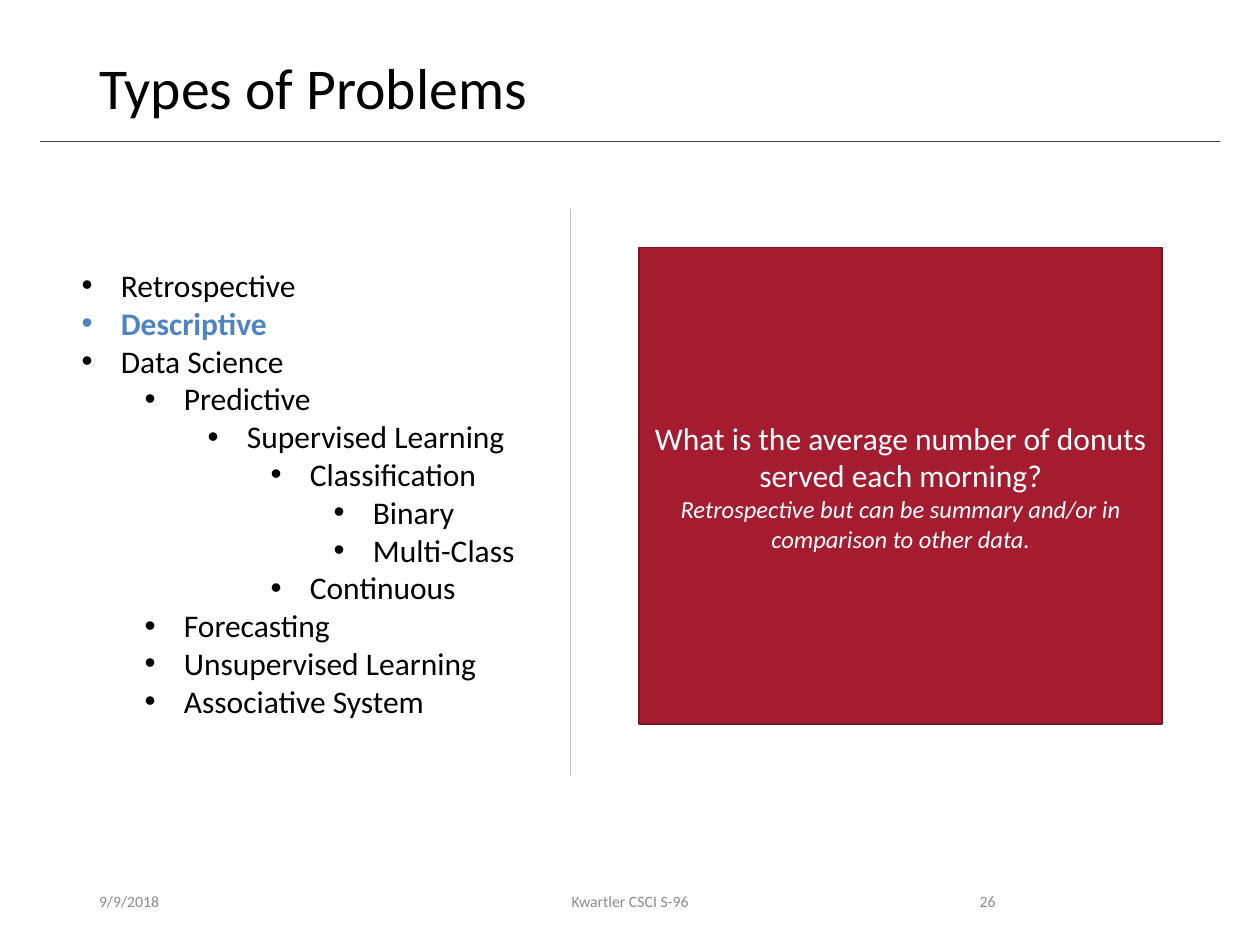
"""Build the Types of Problems slide with a problem outline and an example question."""
from dataclasses import dataclass

from lxml import etree
from pptx import Presentation
from pptx import util as u
from pptx.dml.color import RGBColor
from pptx.enum import shapes, text
from pptx.oxml.ns import qn

COLOURS = {
    "ink": "000000",
    "muted": "8C8C8C",
    "accent": "4E84C4",
    "panel": "A51C30",
    "panel edge": "7A1524",
    "white": "FFFFFF",
    "header rule": "404040",
    "divider": "BFBFBF",
}
FONT = "Calibri"
LEFT, CENTRE, RIGHT = text.PP_ALIGN.LEFT, text.PP_ALIGN.CENTER, text.PP_ALIGN.RIGHT
TOP, MIDDLE = text.MSO_ANCHOR.TOP, text.MSO_ANCHOR.MIDDLE
HANGING = 22.5
LEVEL_STEP = 36


@dataclass(frozen=True)
class Area:
    left: float
    top: float
    width: float
    height: float

    def lengths(self) -> tuple:
        return tuple(u.Pt(n) for n in (self.left, self.top, self.width, self.height))


@dataclass(frozen=True)
class Topic:
    label: str
    depth: int = 0
    highlighted: bool = False


@dataclass(frozen=True)
class FooterItem:
    label: str
    area: Area
    align: text.PP_ALIGN


@dataclass(frozen=True)
class Rule:
    start: tuple[float, float]
    end: tuple[float, float]
    colour: str


TOPICS = [
    Topic("Retrospective"),
    Topic("Descriptive", highlighted=True),
    Topic("Data Science"),
    Topic("Predictive", 1),
    Topic("Supervised Learning", 2),
    Topic("Classification", 3),
    Topic("Binary", 4),
    Topic("Multi-Class", 4),
    Topic("Continuous", 3),
    Topic("Forecasting", 1),
    Topic("Unsupervised Learning", 1),
    Topic("Associative System", 1),
]
FOOTER = [
    FooterItem("9/9/2018", Area(49.5, 500.5, 162, 28.75), LEFT),
    FooterItem("Kwartler CSCI S-96", Area(238.5, 500.5, 243, 28.75), CENTRE),
    FooterItem("26", Area(508.5, 500.5, 67.5, 28.75), RIGHT),
]
RULES = [
    Rule((23, 80.75), (697, 80.75), "header rule"),
    Rule((326, 119.5), (326, 443.5), "divider"),
]


def rgb(name: str) -> RGBColor:
    return RGBColor.from_string(COLOURS[name])


def write(para, words: str, *, size: float, colour: str = "ink", bold: bool = False,
          italic: bool = False, align: text.PP_ALIGN = LEFT) -> None:
    para.alignment = align
    span = para.add_run()
    span.text = words
    span.font.name = FONT
    span.font.size = u.Pt(size)
    span.font.bold = bold
    span.font.italic = italic
    span.font.color.rgb = rgb(colour)


def add_bullet(para, depth: int) -> None:
    para.level = depth
    properties = para._p.get_or_add_pPr()
    properties.set("marL", str(u.Pt(HANGING + LEVEL_STEP * depth)))
    properties.set("indent", str(u.Pt(-HANGING)))
    etree.SubElement(properties, qn("a:buFont"), typeface="Arial")
    etree.SubElement(properties, qn("a:buChar"), char="•")


def add_box(page, area: Area, anchor: text.MSO_ANCHOR):
    frame = page.shapes.add_textbox(*area.lengths()).text_frame
    frame.word_wrap = True
    frame.vertical_anchor = anchor
    return frame


def add_rule(page, rule: Rule) -> None:
    ends = (u.Pt(n) for n in (*rule.start, *rule.end))
    line = page.shapes.add_connector(shapes.MSO_CONNECTOR.STRAIGHT, *ends)
    line.line.color.rgb = rgb(rule.colour)
    line.line.width = u.Pt(0.5)
    etree.SubElement(line._element.spPr, qn("a:effectLst"))


def add_title(page, words: str) -> None:
    title = page.shapes.title
    title.left, title.top, title.width, title.height = Area(49.5, 28.75, 621, 46.75).lengths()
    title.text_frame.vertical_anchor = MIDDLE
    para = title.text_frame.paragraphs[0]
    para.line_spacing = 0.9
    write(para, words, size=33)


def add_outline(page, topics: list[Topic]) -> None:
    frame = add_box(page, Area(39.5, 148.5, 264.5, 291), TOP)
    for index, topic in enumerate(topics):
        para = frame.add_paragraph() if index else frame.paragraphs[0]
        add_bullet(para, topic.depth)
        write(para, topic.label, size=18, bold=topic.highlighted,
              colour="accent" if topic.highlighted else "ink")


def add_question_panel(page, question: str, remark: str) -> None:
    area = Area(365.25, 141.5, 299, 272.25)
    panel = page.shapes.add_shape(shapes.MSO_SHAPE.RECTANGLE, *area.lengths())
    panel.shadow.inherit = False
    panel.fill.solid()
    panel.fill.fore_color.rgb = rgb("panel")
    panel.line.color.rgb = rgb("panel edge")
    panel.line.width = u.Pt(1)
    frame = panel.text_frame
    frame.word_wrap = True
    frame.vertical_anchor = MIDDLE
    write(frame.paragraphs[0], question, size=18, colour="white", align=CENTRE)
    write(frame.add_paragraph(), remark, size=14, colour="white", italic=True, align=CENTRE)


def main() -> None:
    deck = Presentation()
    deck.slide_width, deck.slide_height = u.Pt(720), u.Pt(540)
    page = deck.slides.add_slide(deck.slide_layouts.get_by_name("Title Only"))
    add_title(page, "Types of Problems")
    for item in FOOTER:
        frame = add_box(page, item.area, MIDDLE)
        write(frame.paragraphs[0], item.label, size=9, colour="muted", align=item.align)
    add_question_panel(
        page,
        "What is the average number of donuts served each morning?",
        "Retrospective but can be summary and/or in comparison to other data.",
    )
    add_outline(page, TOPICS)
    for rule in RULES:
        add_rule(page, rule)
    deck.save("out.pptx")


if __name__ == "__main__":
    main()
